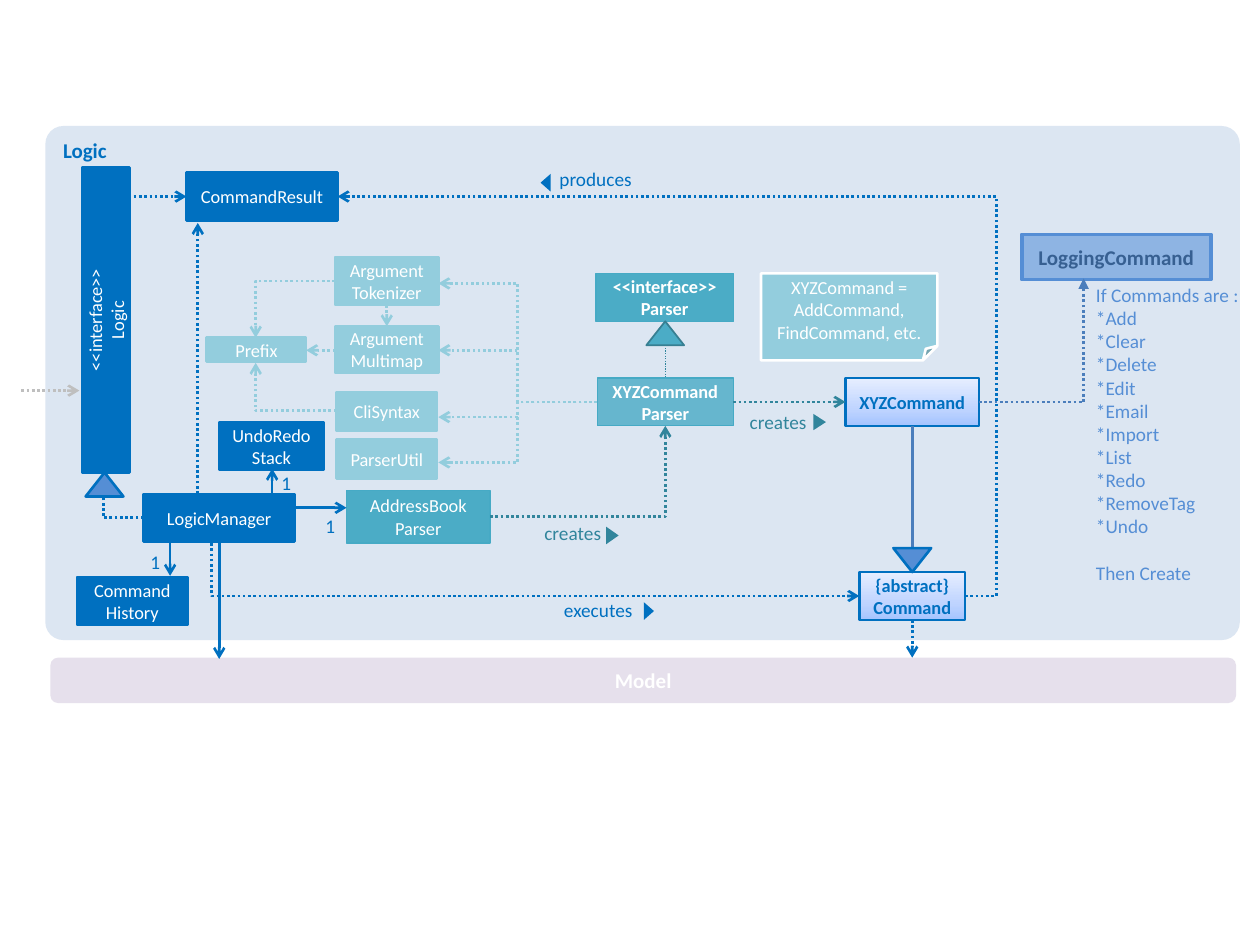
from copy import deepcopy

from lxml import etree
from pptx import Presentation
from pptx.dml.color import RGBColor
from pptx.enum.dml import MSO_LINE
from pptx.enum.shapes import MSO_CONNECTOR, MSO_SHAPE as SHAPE
from pptx.enum.text import MSO_ANCHOR, PP_ALIGN as ALIGN
from pptx.oxml.ns import qn
from pptx.util import Inches, Pt

C = {
    "blue": "0070C0", "panel": "DCE6F2", "model": "E6E0EC", "teal": "4BACC6",
    "teal_line": "46AAC5", "teal_dark": "31859C", "teal_edge": "377F92",
    "aqua": "93CDDD", "white": "FFFFFF", "grey": "BFBFBF", "sky": "558ED5",
    "steel": "4B7EBC", "logging": "8EB4E3", "navy": "376092",
}
GRADIENT = [(0, "A4C4FF"), (0.35, "BFD4FF"), (1, "E6EEFF")]
FONT = "Calibri"

prs = Presentation()
prs.slide_width, prs.slide_height = Inches(10), Inches(7.5)
s = prs.slides.add_slide(prs.slide_layouts[6])


def rgb(name):
    return RGBColor.from_string(C[name])


def write(sp, text, size, color, bold=False, align=ALIGN.CENTER,
          anchor=MSO_ANCHOR.MIDDLE, inset=0.05):
    tf = sp.text_frame
    tf.text = text
    tf.word_wrap = True
    tf.vertical_anchor = anchor
    tf.margin_left = tf.margin_right = Inches(inset)
    for p in tf.paragraphs:
        p.alignment = align
        for r in p.runs:
            r.font.name, r.font.size, r.font.bold = FONT, Pt(size), bold
            r.font.color.rgb = rgb(color)
    return tf


# Containers: Logic panel and Model bar
panels = [
    ((0.36, 1, 9.48, 4.08), 0.035, "panel", "Logic", "blue", ALIGN.LEFT, MSO_ANCHOR.TOP),
    ((0.4, 5.22, 9.41, 0.36), 0.167, "model", "Model", "white", ALIGN.CENTER, MSO_ANCHOR.MIDDLE),
]
for at, radius, fill, text, color, align, anchor in panels:
    sp = s.shapes.add_shape(SHAPE.ROUNDED_RECTANGLE, *map(Inches, at))
    sp.shadow.inherit = False
    sp.adjustments[0] = radius
    sp.fill.solid()
    sp.fill.fore_color.rgb = rgb(fill)
    sp.line.fill.background()
    write(sp, text, 12, color, True, align, anchor, 0.1)

# Class boxes: style -> fill, line, line width, text colour, bold, size
STYLES = {
    "logic": ("blue", "blue", 1.5, "white", False, 10.5),
    "helper": ("aqua", "aqua", 1.5, "white", False, 10.5),
    "parser": ("teal", "teal_line", 0.75, "white", False, 10.5),
    "xyz_parser": ("teal", "teal_line", 0.75, "white", True, 10.5),
    "command": (None, "blue", 1.5, "blue", True, 10.5),
    "logging": ("logging", "sky", 2, "navy", True, 12),
    "note": ("aqua", "white", 1.5, "white", False, 10.5),
}
boxes = [
    ("CommandResult", "logic", 1.48, 1.37, 1.2, 0.38),
    ("LogicManager", "logic", 1.14, 3.92, 1.2, 0.38),
    ("<<interface>>\nLogic", "logic", -0.37, 2.35, 2.42, 0.38),
    ("Command\nHistory", "logic", 0.61, 4.58, 0.88, 0.38),
    ("UndoRedo\nStack", "logic", 1.74, 3.35, 0.83, 0.38),
    ("Argument\vTokenizer", "helper", 2.66, 2.04, 0.82, 0.38),
    ("Argument\vMultimap", "helper", 2.66, 2.59, 0.82, 0.37),
    ("Prefix", "helper", 1.64, 2.68, 0.79, 0.19),
    ("CliSyntax", "helper", 2.67, 3.11, 0.8, 0.31),
    ("ParserUtil", "helper", 2.67, 3.49, 0.8, 0.31),
    ("AddressBook\nParser", "parser", 2.75, 3.89, 1.14, 0.42),
    ("<<interface>>\nParser", "xyz_parser", 4.73, 2.17, 1.09, 0.38),
    ("XYZCommand\nParser", "xyz_parser", 4.74, 3, 1.08, 0.38),
    ("XYZCommand", "command", 6.71, 3, 1.06, 0.38),
    ("{abstract}\vCommand", "command", 6.82, 4.54, 0.84, 0.38),
    ("LoggingCommand", "logging", 8.11, 1.86, 1.5, 0.36),
    ("XYZCommand = AddCommand, FindCommand, etc.", "note", 6.04, 2.17, 1.4, 0.69),
]
for text, style, *at in boxes:
    fill, line, width, color, bold, size = STYLES[style]
    kind = SHAPE.FOLDED_CORNER if style == "note" else SHAPE.RECTANGLE
    sp = s.shapes.add_shape(kind, *map(Inches, at))
    sp.shadow.inherit = False
    if fill:
        sp.fill.solid()
        sp.fill.fore_color.rgb = rgb(fill)
    else:
        sp.fill.gradient()
        sp.fill.gradient_angle = 90
        stops = sp._element.spPr.find(qn("a:gradFill")).find(qn("a:gsLst"))
        stops.append(deepcopy(stops[-1]))
        for stop, (pos, hex_color) in zip(sp.fill.gradient_stops, GRADIENT):
            stop.position = pos
            stop.color.rgb = RGBColor.from_string(hex_color)
    sp.line.color.rgb = rgb(line)
    sp.line.width = Pt(width)
    write(sp, text, size, color, bold)
    if text.endswith("\nLogic"):
        sp.rotation = 270
    if text == "XYZCommand\nParser":
        clr = sp._element.spPr.find(qn("a:solidFill"))[0]
        etree.SubElement(clr, qn("a:alpha")).set("val", "81000")

# Connectors: colour, from, to, bend (None straight, "corner", or middle
# position as a share of the width), then dash, head and width if unusual
DOT = MSO_LINE.ROUND_DOT
links = [
    ("blue", (7.66, 4.73), (2.68, 1.56), -0.05),
    ("blue", (1.02, 1.56), (1.48, 1.56), None),
    ("blue", (7.24, 4.92), (7.24, 5.22), None),
    ("blue", (1.14, 4.11), (0.82, 3.94), "corner", DOT, None),
    ("blue", (1.74, 4.3), (1.74, 5.23), None, None),
    ("grey", (0.17, 3.1), (0.63, 3.1), None),
    ("blue", (1.68, 4.31), (6.82, 4.73), 0),
    ("blue", (1.57, 3.92), (1.57, 1.77), None),
    ("aqua", (2.67, 3.26), (2.03, 2.88), "corner"),
    ("aqua", (2.66, 2.23), (2.03, 2.68), "corner"),
    ("steel", (7.24, 4.35), (7.24, 3.38), None, None, None),
    ("teal_dark", (5.82, 3.19), (6.71, 3.19), None),
    ("aqua", (2.66, 2.78), (2.43, 2.78), None),
    ("aqua", (3.07, 2.42), (3.07, 2.59), None),
    ("blue", (1.35, 4.31), (1.35, 4.57), None, None),
    ("blue", (2.35, 4.03), (2.75, 4.03), None, None),
    ("blue", (2.16, 3.92), (2.16, 3.72), None, None),
    ("teal_dark", (3.89, 4.1), (5.28, 3.38), "corner"),
    ("teal_dark", (5.28, 2.74), (5.28, 3), None, DOT, None, 0.75),
    ("steel", (7.77, 3.19), (8.6, 3.19), None, DOT, None),
    ("steel", (8.6, 3.19), (8.6, 2.21), None, DOT, "triangle"),
]
links += [("aqua", (4.74, 3.19), (3.48, y), 0.5) for y in (2.25, 2.78, 3.31, 3.67)]
for color, start, end, bend, *rest in links:
    dash, head, width = rest + [DOT, "arrow", 1.5][len(rest):]
    kind = MSO_CONNECTOR.STRAIGHT if bend is None else MSO_CONNECTOR.ELBOW
    cx = s.shapes.add_connector(kind, *map(Inches, start + end))
    cx.line.color.rgb = rgb(color)
    cx.line.width = Pt(width)
    if dash:
        cx.line.dash_style = dash
    spPr = cx._element.spPr
    if head:
        etree.SubElement(cx.line._get_or_add_ln(), qn("a:tailEnd")).set("type", head)
    etree.SubElement(spPr, qn("a:effectLst"))
    geom = spPr.find(qn("a:prstGeom"))
    if bend == "corner":
        geom.set("prst", "bentConnector2")
    elif bend is not None:
        gd = etree.SubElement(geom.get_or_add_avLst(), qn("a:gd"))
        gd.set("name", "adj1")
        gd.set("fmla", f"val {round(bend * 100000)}")

# Triangles: inheritance heads and reading-direction markers
triangles = [
    ((0.68, 3.75, 0.3, 0.19), 0, "sky", "blue", 1.5),
    ((7.09, 4.35, 0.3, 0.19), 180, "sky", "blue", 1.5),
    ((5.13, 2.55, 0.3, 0.19), 0, "teal", "teal_edge", 1),
    ((5.08, 4.81, 0.14, 0.08), 90, "blue", None, 0),
    ((4.26, 1.41, 0.14, 0.08), 270, "blue", None, 0),
    ((4.79, 4.2, 0.14, 0.1), 90, "teal_dark", None, 0),
    ((6.44, 3.3, 0.13, 0.1), 90, "teal_dark", None, 0),
]
for at, turn, fill, line, width in triangles:
    sp = s.shapes.add_shape(SHAPE.ISOSCELES_TRIANGLE, *map(Inches, at))
    sp.shadow.inherit = False
    sp.rotation = turn
    sp.fill.solid()
    sp.fill.fore_color.rgb = rgb(fill)
    if line:
        sp.line.color.rgb = rgb(line)
        sp.line.width = Pt(width)
    else:
        sp.line.fill.background()

# Connector labels
labels = [
    ("executes", "blue", ALIGN.RIGHT, 4.22, 4.75, 0.8, 0.25),
    ("produces", "blue", ALIGN.LEFT, 4.44, 1.33, 0.8, 0.25),
    ("creates", "teal_dark", ALIGN.LEFT, 4.32, 4.14, 0.61, 0.28),
    ("creates", "teal_dark", ALIGN.LEFT, 5.95, 3.26, 0.65, 0.24),
]
labels += [("1", "blue", ALIGN.RIGHT, x, y, 0.14, 0.25)
           for x, y in ((2.52, 4.08), (1.13, 4.37), (2.17, 3.74))]
for text, color, align, *at in labels:
    tb = s.shapes.add_textbox(*map(Inches, at))
    tf = write(tb, text, 11, color, align=align, anchor=MSO_ANCHOR.TOP, inset=0)
    tf.margin_top = tf.margin_bottom = 0

# Commands that are logged
commands = ["Add", "Clear", "Delete", "Edit", "Email", "Import", "List",
            "Redo", "RemoveTag", "Undo"]
lines = ["If Commands are :"] + ["*" + c for c in commands] + ["Then Create"]
tb = s.shapes.add_textbox(Inches(8.6), Inches(2.2), Inches(1.4), Inches(2.51))
tf = write(tb, "\n".join(lines), 11, "sky", align=ALIGN.LEFT,
           anchor=MSO_ANCHOR.TOP, inset=0.1)
tf.word_wrap = False
tf.paragraphs[-1].space_before = Pt(13.4)

prs.save("out.pptx")
